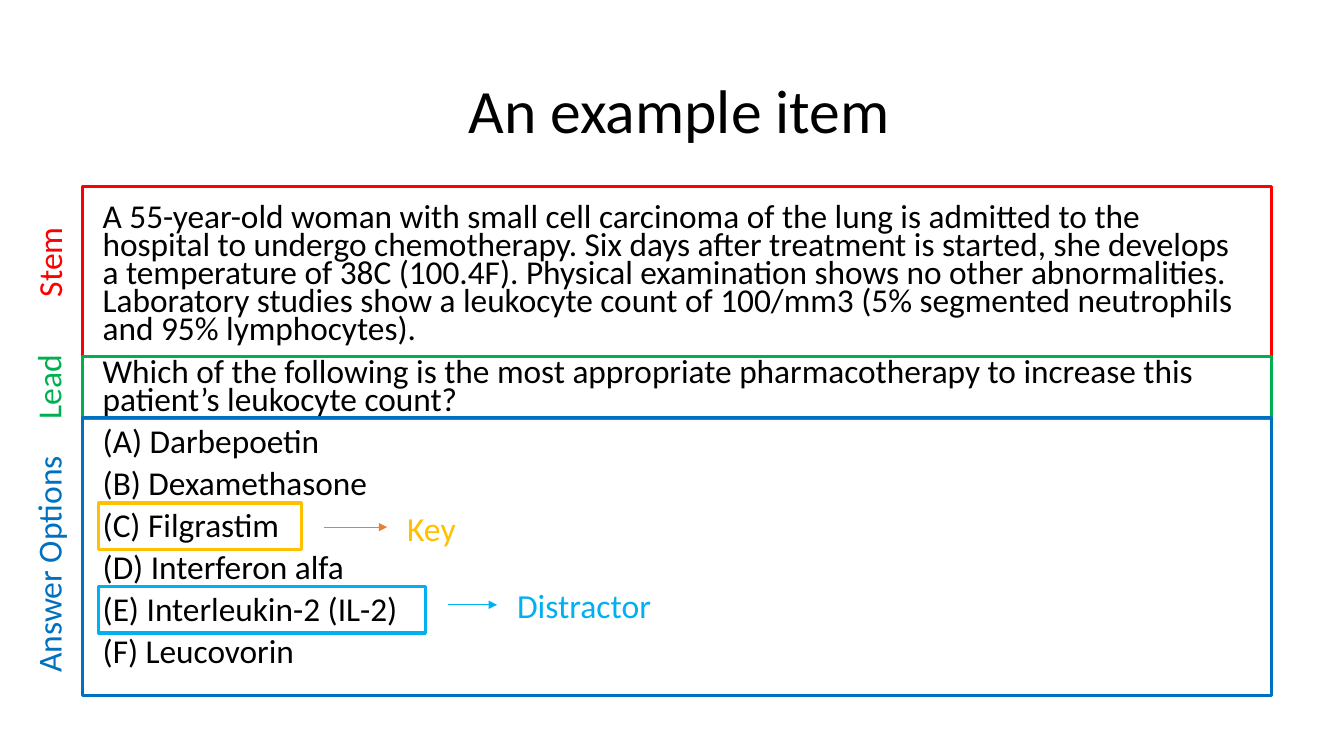
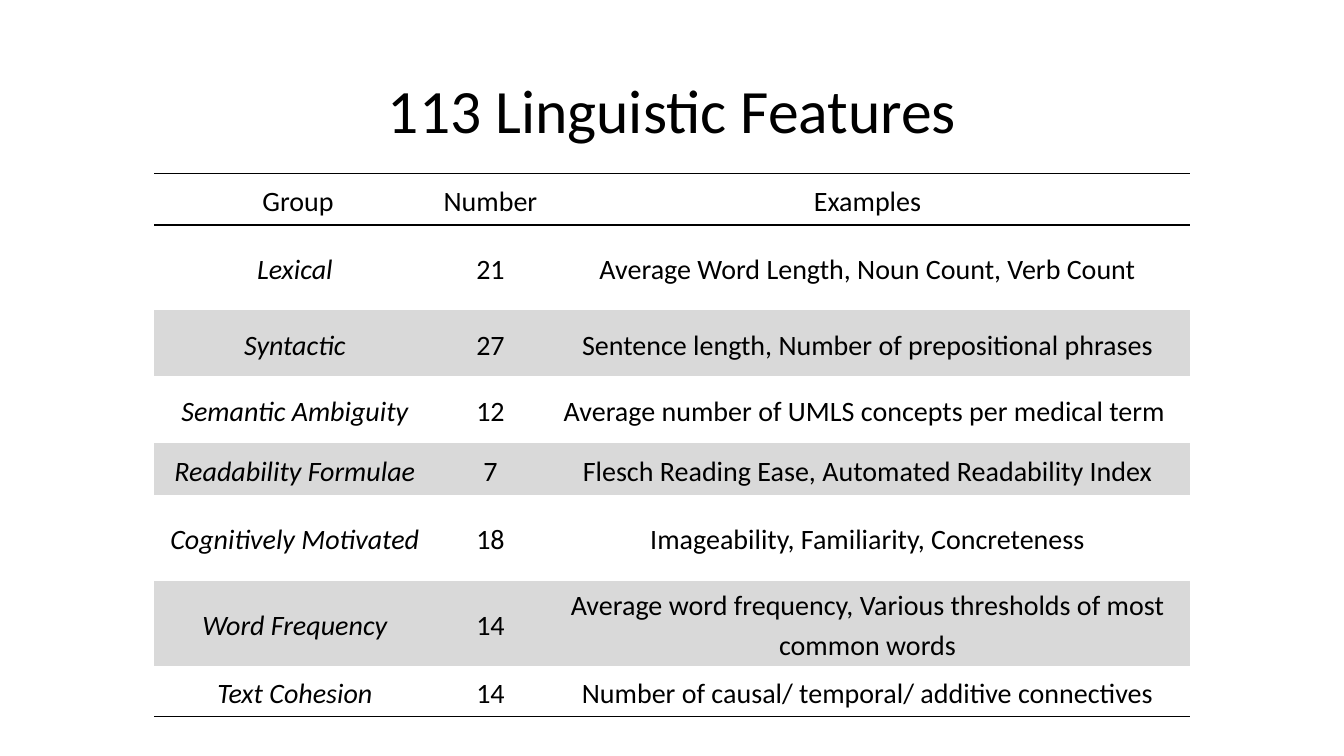
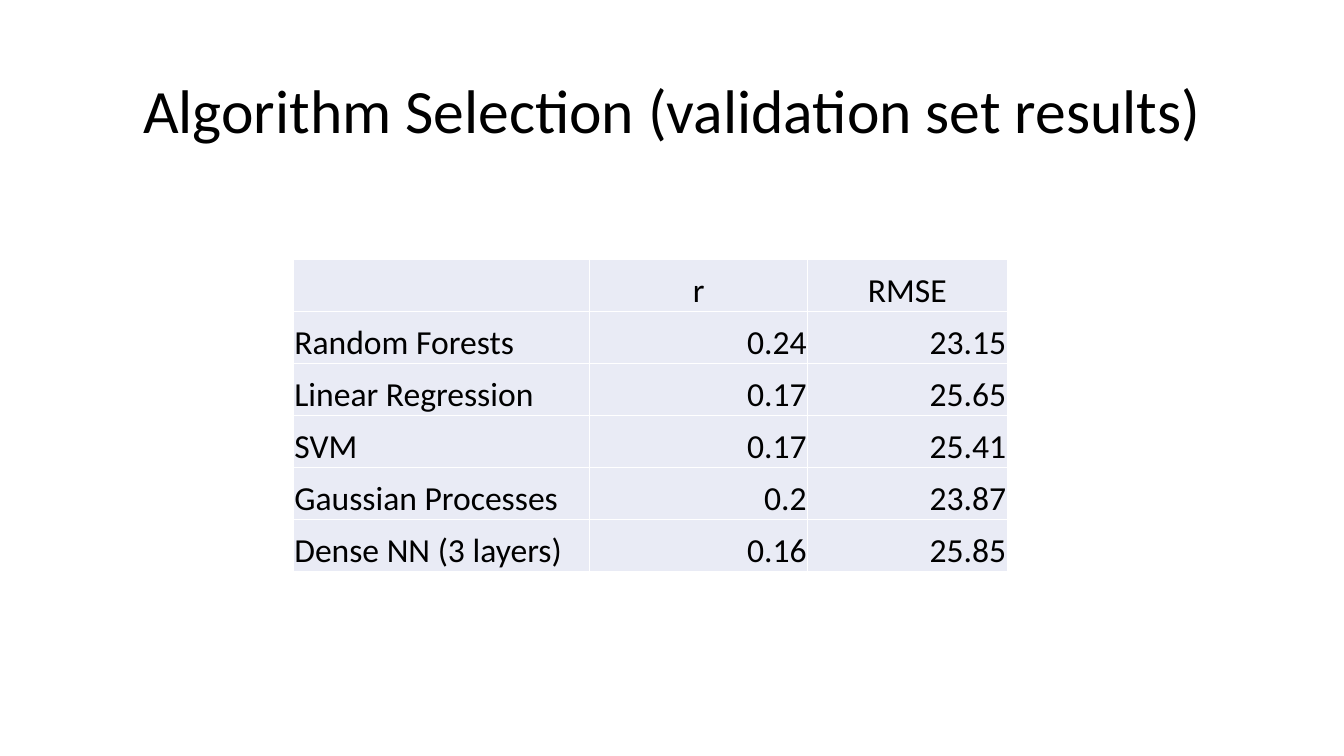
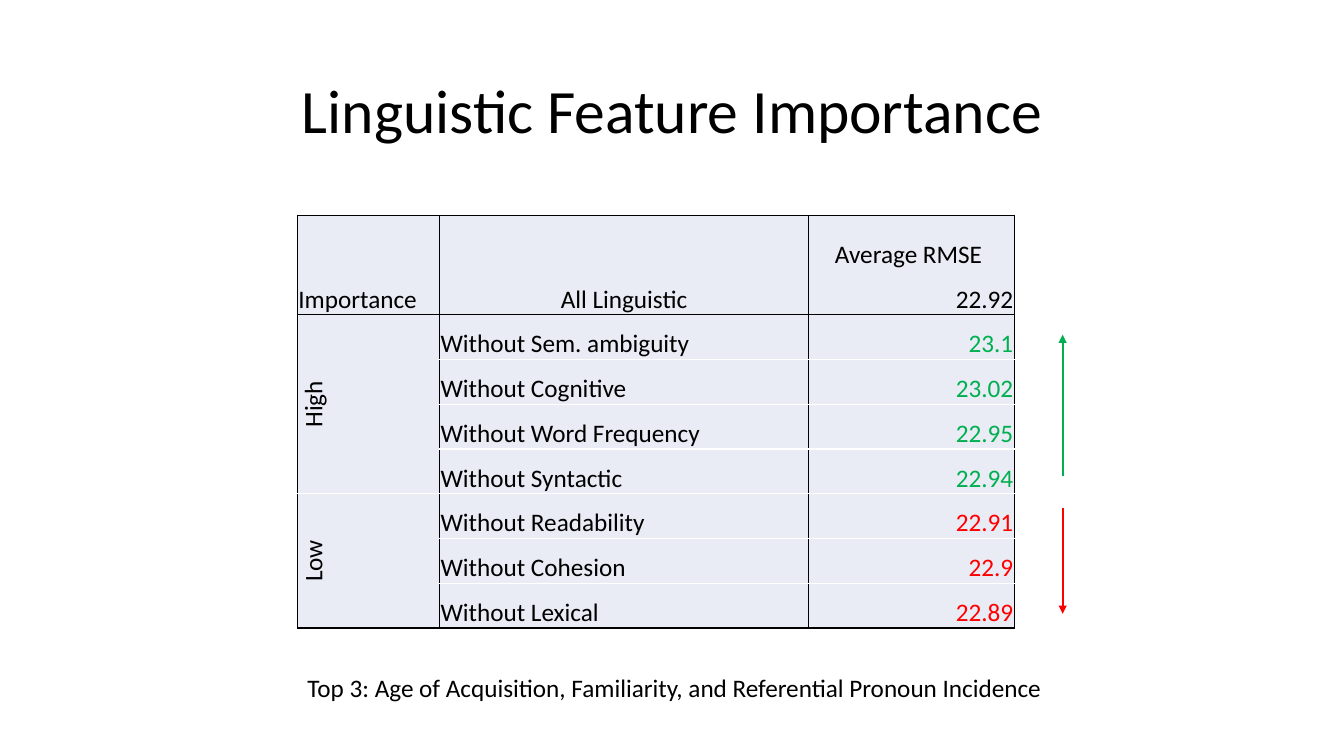
"""Build four slides on exam items, their linguistic features and model results."""
from dataclasses import dataclass

from lxml import etree
from pptx import Presentation
from pptx.dml.color import RGBColor
from pptx.enum.shapes import MSO_CONNECTOR, MSO_SHAPE
from pptx.enum.text import MSO_ANCHOR, PP_ALIGN
from pptx.oxml.ns import qn
from pptx.util import Inches, Pt

LEFT, CENTER, RIGHT = PP_ALIGN.LEFT, PP_ALIGN.CENTER, PP_ALIGN.RIGHT
TOP, MIDDLE, BOTTOM = MSO_ANCHOR.TOP, MSO_ANCHOR.MIDDLE, MSO_ANCHOR.BOTTOM
RECTANGLE, STRAIGHT = MSO_SHAPE.RECTANGLE, MSO_CONNECTOR.STRAIGHT
ALIGNMENTS = {"l": LEFT, "c": CENTER, "r": RIGHT}


@dataclass(frozen=True)
class Theme:
    font: str = "Calibri"
    black: str = "000000"
    white: str = "FFFFFF"
    red: str = "FF0000"
    green: str = "00B050"
    blue: str = "0070C0"
    gold: str = "FFC000"
    sky: str = "00B0F0"
    orange: str = "ED7D31"
    gray: str = "D9D9D9"
    lavender: str = "E9EBF5"
    title: float = 44
    label: float = 24
    body: float = 23.8
    feature: float = 20
    note: float = 18


THEME = Theme()


def add_run(paragraph, text, size, color, italic=False):
    run = paragraph.add_run()
    run.text = text
    run.font.name = THEME.font
    run.font.size = Pt(size)
    run.font.bold = False
    run.font.italic = italic
    run.font.color.rgb = RGBColor.from_string(color)


def add_text(slide, box, lines, size, color=THEME.black, align=LEFT, anchor=TOP,
             line_spacing=1.0, space_before=0, rotation=0):
    shape = slide.shapes.add_textbox(*map(Inches, box))
    shape.rotation = rotation
    frame = shape.text_frame
    frame.word_wrap = True
    frame.vertical_anchor = anchor
    for index, line in enumerate(lines):
        paragraph = frame.add_paragraph() if index else frame.paragraphs[0]
        paragraph.alignment = align
        paragraph.line_spacing = line_spacing
        paragraph.space_before = Pt(space_before)
        add_run(paragraph, line, size, color)


presentation = Presentation()
presentation.slide_width = Inches(13.33)
presentation.slide_height = Inches(7.5)

titles = [
    " An example item",
    "113 Linguistic Features",
    "Algorithm Selection (validation set results)",
    "Linguistic Feature Importance",
]
slides = []
for title in titles:
    slide = presentation.slides.add_slide(presentation.slide_layouts[6])
    add_text(slide, (0.92, 0.4, 11.5, 1.45), [title], THEME.title,
             align=CENTER, anchor=MIDDLE, line_spacing=0.9)
    slides.append(slide)
item_slide, features_slide, algorithms_slide, importance_slide = slides

item_lines = [
    "A 55-year-old woman with small cell carcinoma of the lung is admitted to the hospital "
    "to undergo chemotherapy. Six days after treatment is started, she develops a temperature "
    "of 38C (100.4F). Physical examination shows no other abnormalities. Laboratory studies "
    "show a leukocyte count of 100/mm3 (5% segmented neutrophils and 95% lymphocytes).",
    "Which of the following is the most appropriate pharmacotherapy to increase this "
    "patient’s leukocyte count?",
    "(A) Darbepoetin",
    "(B) Dexamethasone",
    "(C) Filgrastim",
    "(D) Interferon alfa",
    "(E) Interleukin-2 (IL-2)",
    "(F) Leucovorin",
]
add_text(item_slide, (0.92, 2, 11.5, 4.76), item_lines, THEME.body,
         line_spacing=0.7, space_before=10)

frames = [
    ((0.82, 1.85, 11.79, 1.69), THEME.red),
    ((0.82, 3.54, 11.79, 0.61), THEME.green),
    ((0.82, 4.14, 11.79, 2.76), THEME.blue),
    ((0.98, 4.99, 2.01, 0.46), THEME.gold),
    ((0.98, 5.82, 3.24, 0.46), THEME.sky),
]
for box, color in frames:
    shape = item_slide.shapes.add_shape(RECTANGLE, *map(Inches, box))
    shape.shadow.inherit = False
    shape.fill.background()
    shape.line.color.rgb = RGBColor.from_string(color)
    shape.line.width = Pt(2.25)

labels = [
    ("Key", (3.94, 4.99, 1.87, 0.5), THEME.gold, LEFT, 0),
    ("Distractor", (5.03, 5.75, 1.87, 0.5), THEME.sky, LEFT, 0),
    ("Stem", (-0.45, 2.35, 1.87, 0.5), THEME.red, CENTER, 270),
    ("Lead", (-0.46, 3.59, 1.87, 0.5), THEME.green, CENTER, 270),
    ("Answer Options", (-0.82, 5.35, 2.6, 0.5), THEME.blue, CENTER, 270),
]
for text, box, color, align, rotation in labels:
    add_text(item_slide, box, [text], THEME.label, color, align, rotation=rotation)

add_text(importance_slide, (2.95, 6.62, 8.81, 0.4),
         ["Top 3: Age of Acquisition, Familiarity, and Referential Pronoun Incidence"], THEME.note)

no_line = (None, 0)
white_line = (THEME.white, 1)
black_line = (THEME.black, 1)
tables = [
    dict(
        slide=features_slide, left=1.53, top=1.72, size=THEME.feature,
        columns=[2.79, 1.09, 6.39],
        heights=[0.51, 0.85, 0.65, 0.67, 0.51, 0.85, 0.85, 0.5],
        row_lines=[black_line, (THEME.black, 1.5)] + [no_line] * 6 + [black_line],
        column_line=no_line,
        fills=[THEME.white] * 2 + [THEME.gray, THEME.white] * 3,
        alignments=["ccc"] * 8, value_colors=[THEME.black] * 8, merges=[],
        anchor=MIDDLE, insets=(0.06, 0, 0.06, 0), spacing=(1.15, 6), italic_names=True,
        rows=[
            (" Group", "Number ", "Examples"),
            ("Lexical", "21", "Average Word Length, Noun Count, Verb Count"),
            ("Syntactic", "27", "Sentence length, Number of prepositional phrases"),
            ("Semantic Ambiguity", "12", "Average number of UMLS concepts per medical term "),
            ("Readability Formulae", "7", "Flesch Reading Ease, Automated Readability Index"),
            ("Cognitively Motivated", "18", "Imageability, Familiarity, Concreteness"),
            ("Word Frequency", "14",
             "Average word frequency, Various thresholds of most common words"),
            ("Text Cohesion", "14", "Number of causal/ temporal/ additive connectives"),
        ],
    ),
    dict(
        slide=algorithms_slide, left=2.91, top=2.57, size=THEME.label,
        columns=[2.94, 2.16, 1.98], heights=[3.1 / 6] * 6,
        row_lines=[white_line] * 7, column_line=white_line,
        fills=[THEME.lavender] * 6,
        alignments=["ccc"] + ["lrr"] * 5, value_colors=[THEME.black] * 6, merges=[],
        anchor=BOTTOM, insets=(0.01, 0.01, 0.01, 0), spacing=(1.0, 0), italic_names=False,
        rows=[
            ("", " r ", "RMSE"),
            ("Random Forests", "0.24", "23.15"),
            ("Linear Regression", "0.17", "25.65"),
            ("SVM", "0.17", "25.41"),
            ("Gaussian Processes", "0.2", "23.87"),
            ("Dense NN (3 layers)", "0.16", "25.85"),
        ],
    ),
    dict(
        slide=importance_slide, left=2.95, top=2.14, size=THEME.note,
        columns=[1.41, 3.66, 2.04], heights=[0.54] + [(4.09 - 0.54) / 8] * 8,
        row_lines=[black_line, no_line, black_line] + [white_line] * 6 + [black_line],
        column_line=black_line,
        fills=[THEME.lavender] * 9,
        alignments=["ccc", "lcr"] + ["clr"] * 7,
        value_colors=[THEME.black] * 2 + [THEME.green] * 4 + [THEME.red] * 3,
        merges=[(2, 5), (6, 8)],
        anchor=BOTTOM, insets=(0.01, 0.01, 0.01, 0), spacing=(1.0, 0), italic_names=False,
        rows=[
            ("", "", "Average RMSE "),
            ("Importance", "All Linguistic", "22.92"),
            ("High", "Without Sem. ambiguity", "23.1"),
            ("", "Without Cognitive", "23.02"),
            ("", "Without Word Frequency", "22.95"),
            ("", "Without Syntactic", "22.94"),
            ("Low", "Without Readability", "22.91"),
            ("", "Without Cohesion", "22.9"),
            ("", "Without Lexical", "22.89"),
        ],
    ),
]
for data in tables:
    columns, heights = data["columns"], data["heights"]
    table = data["slide"].shapes.add_table(
        len(heights), len(columns), Inches(data["left"]), Inches(data["top"]),
        Inches(sum(columns)), Inches(sum(heights))).table
    table.first_row = False
    table.horz_banding = False
    for column, width in zip(table.columns, columns):
        column.width = Inches(width)
    for row, height in zip(table.rows, heights):
        row.height = Inches(height)
    for first, last in data["merges"]:
        table.cell(first, 0).merge(table.cell(last, 0))

    for row_index, texts in enumerate(data["rows"]):
        for column_index, text in enumerate(texts):
            cell = table.cell(row_index, column_index)
            row_span = cell.span_height if cell.is_merge_origin else 1
            properties = cell._tc.get_or_add_tcPr()
            borders = {
                "a:lnL": data["column_line"],
                "a:lnR": data["column_line"],
                "a:lnT": data["row_lines"][row_index],
                "a:lnB": data["row_lines"][row_index + row_span],
            }
            for tag, (color, width) in borders.items():
                border = etree.SubElement(properties, qn(tag), w=str(Pt(width)))
                if color:
                    solid = etree.SubElement(border, qn("a:solidFill"))
                    etree.SubElement(solid, qn("a:srgbClr"), val=color)
                else:
                    etree.SubElement(border, qn("a:noFill"))
            cell.fill.solid()
            cell.fill.fore_color.rgb = RGBColor.from_string(data["fills"][row_index])
            (cell.margin_left, cell.margin_top,
             cell.margin_right, cell.margin_bottom) = map(Inches, data["insets"])
            cell.vertical_anchor = data["anchor"]
            if cell.is_merge_origin:
                cell.vertical_anchor = MIDDLE
                properties.set("vert", "vert270")
            if text:
                paragraph = cell.text_frame.paragraphs[0]
                paragraph.alignment = ALIGNMENTS[data["alignments"][row_index][column_index]]
                line_spacing, gap = data["spacing"]
                paragraph.line_spacing = line_spacing
                paragraph.space_before = paragraph.space_after = Pt(gap)
                is_value = column_index == len(columns) - 1
                color = data["value_colors"][row_index] if is_value else THEME.black
                italic = data["italic_names"] and column_index == 0 and row_index > 0
                add_run(paragraph, text, data["size"], color, italic)

arrows = [
    (item_slide, (3.21, 5.23, 3.84, 5.23), THEME.orange, 0.5),
    (item_slide, (4.44, 6, 4.93, 6), THEME.sky, 0.5),
    (importance_slide, (10.54, 4.72, 10.54, 3.32), THEME.green, 1.5),
    (importance_slide, (10.54, 5.04, 10.54, 6.09), THEME.red, 1.5),
]
for slide, ends, color, width in arrows:
    arrow = slide.shapes.add_connector(STRAIGHT, *map(Inches, ends))
    arrow.line.color.rgb = RGBColor.from_string(color)
    arrow.line.width = Pt(width)
    etree.SubElement(arrow.line._get_or_add_ln(), qn("a:tailEnd"), type="triangle")
    etree.SubElement(arrow._element.spPr, qn("a:effectLst"))

presentation.save("out.pptx")
